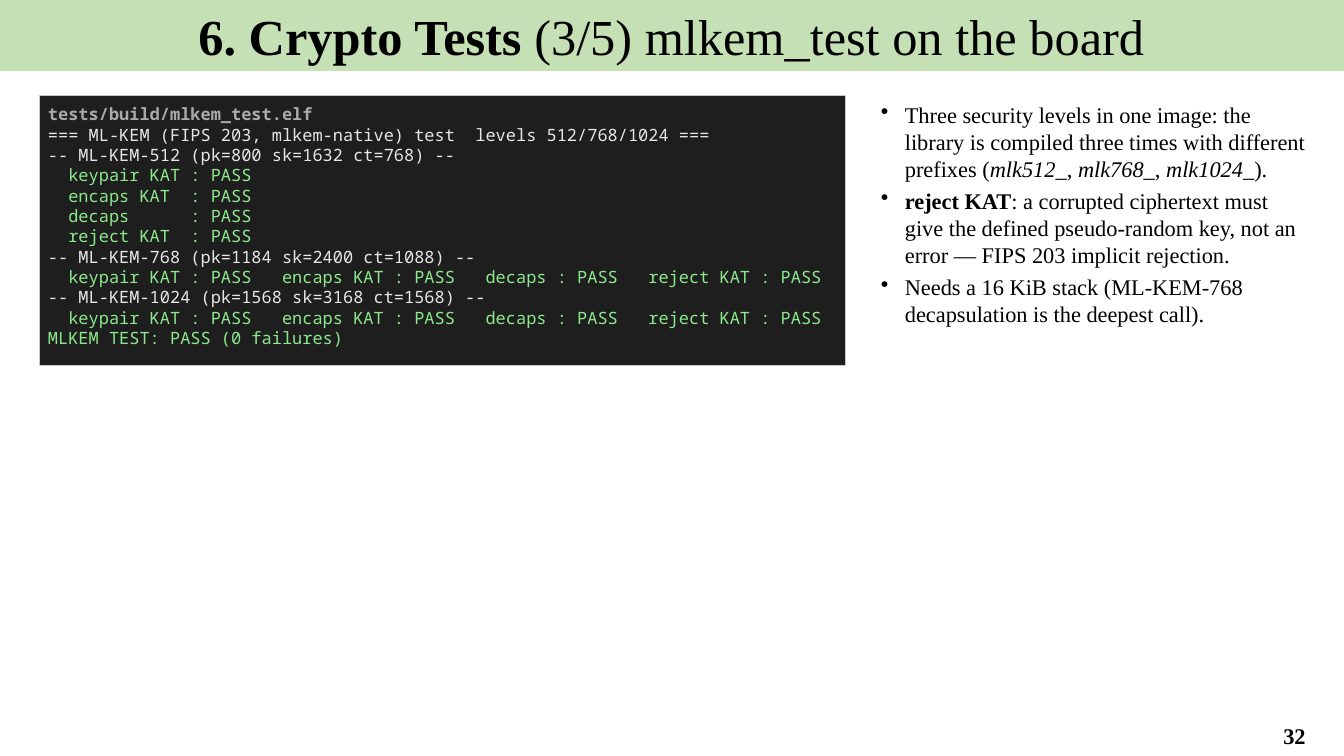
from dataclasses import dataclass

from lxml.etree import SubElement
from pptx import Presentation
from pptx.dml.color import RGBColor
from pptx.enum.shapes import MSO_SHAPE
from pptx.enum.text import MSO_ANCHOR, PP_ALIGN
from pptx.oxml.ns import qn
from pptx.util import Pt

EMU_PER_PX = 914400 / 100.8


def px(length):
    return round(length * EMU_PER_PX)


@dataclass(frozen=True)
class Theme:
    serif: str = "Times New Roman"
    mono: str = "Noto Sans Mono"
    ink: str = "000000"
    banner: str = "C5E0B4"
    terminal: str = "1E1E1E"
    frame: str = "C8C8C8"
    heading: str = "AAAAAA"
    output: str = "E6E6E6"
    passed: str = "8BE98B"
    title_size: float = 36
    body_size: float = 16
    code_size: float = 12.1


class SlideBuilder:
    """Draws themed elements on one slide."""

    def __init__(self, theme, width, height):
        self.theme = theme
        self.deck = Presentation()
        self.deck.slide_width, self.deck.slide_height = px(width), px(height)
        self.slide = self.deck.slides.add_slide(self.deck.slide_layouts[6])

    def panel(self, box, fill, line=None):
        panel = self.slide.shapes.add_shape(MSO_SHAPE.RECTANGLE, *map(px, box))
        panel.shadow.inherit = False
        panel.fill.solid()
        panel.fill.fore_color.rgb = RGBColor.from_string(fill)
        if line:
            panel.line.color.rgb = RGBColor.from_string(line)
            panel.line.width = Pt(0.75)
        else:
            panel.line.fill.background()
        return self.frame(panel, MSO_ANCHOR.TOP)

    def textbox(self, box, anchor=MSO_ANCHOR.TOP):
        return self.frame(self.slide.shapes.add_textbox(*map(px, box)), anchor)

    def frame(self, holder, anchor):
        frame = holder.text_frame
        frame.word_wrap = True
        frame.vertical_anchor = anchor
        return frame

    def run(self, paragraph, text, size, font=None, color=None, style=""):
        run = paragraph.add_run()
        run.text = text
        run.font.name = font or self.theme.serif
        run.font.size = Pt(size)
        run.font.bold = style == "bold"
        run.font.italic = style == "italic"
        run.font.color.rgb = RGBColor.from_string(color or self.theme.ink)

    def centered(self, frame, pieces, size):
        paragraph = frame.paragraphs[0]
        paragraph.alignment = PP_ALIGN.CENTER
        for text, style in pieces:
            self.run(paragraph, text, size, style=style)

    def title(self, box, pieces):
        self.centered(self.panel(box, self.theme.banner), pieces, self.theme.title_size)

    def page_number(self, box, number):
        frame = self.textbox(box, MSO_ANCHOR.MIDDLE)
        self.centered(frame, [(number, "bold")], self.theme.body_size)

    def terminal(self, box, command, output):
        theme = self.theme
        frame = self.panel(box, theme.terminal, theme.frame)
        frame.word_wrap = False
        frame.margin_left = frame.margin_right = px(8)
        frame.margin_top = frame.margin_bottom = px(8)
        lines = [(command, theme.heading, "bold")]
        for text in output:
            color = theme.passed if "PASS" in text else theme.output
            lines.append((text, color, ""))
        for index, (text, color, style) in enumerate(lines):
            paragraph = frame.add_paragraph() if index else frame.paragraphs[0]
            paragraph.alignment = PP_ALIGN.LEFT
            self.run(paragraph, text, theme.code_size, theme.mono, color, style)

    def bullets(self, box, items):
        frame = self.textbox(box)
        for index, pieces in enumerate(items):
            paragraph = frame.add_paragraph() if index else frame.paragraphs[0]
            paragraph.space_after = Pt(4)
            properties = paragraph._p.get_or_add_pPr()
            properties.set("marL", str(px(28)))
            properties.set("indent", str(px(-24)))
            SubElement(properties, qn("a:buChar")).set("char", "•")
            for text, style in pieces:
                self.run(paragraph, text, self.theme.body_size, style=style)

    def save(self):
        self.deck.save("out.pptx")


def main():
    board = SlideBuilder(Theme(), 1344, 756)
    board.title(
        (-1, 0, 1345, 71),
        [("6. Crypto Tests ", "bold"), ("(3/5) mlkem_test on the board", "")],
    )
    board.page_number((1245, 716, 99, 39), "32")

    all_passed = "  keypair KAT : PASS   encaps KAT : PASS   decaps : PASS   reject KAT : PASS"
    board.terminal(
        (40, 96, 806, 270),
        "tests/build/mlkem_test.elf",
        [
            "=== ML-KEM (FIPS 203, mlkem-native) test  levels 512/768/1024 ===",
            "-- ML-KEM-512 (pk=800 sk=1632 ct=768) --",
            "  keypair KAT : PASS",
            "  encaps KAT  : PASS",
            "  decaps      : PASS",
            "  reject KAT  : PASS",
            "-- ML-KEM-768 (pk=1184 sk=2400 ct=1088) --",
            all_passed,
            "-- ML-KEM-1024 (pk=1568 sk=3168 ct=1568) --",
            all_passed,
            "MLKEM TEST: PASS (0 failures)",
        ],
    )
    board.bullets(
        (867, 96, 454, 605),
        [
            [
                ("Three security levels in one image: the library is compiled "
                 "three times with different prefixes (", ""),
                ("mlk512_", "italic"),
                (", ", ""),
                ("mlk768_", "italic"),
                (", ", ""),
                ("mlk1024_", "italic"),
                (").", ""),
            ],
            [
                ("reject KAT", "bold"),
                (": a corrupted ciphertext must give the defined pseudo-random key, "
                 "not an error — FIPS 203 implicit rejection.", ""),
            ],
            [("Needs a 16 KiB stack (ML-KEM-768 decapsulation is the deepest call).", "")],
        ],
    )
    board.save()


if __name__ == "__main__":
    main()
